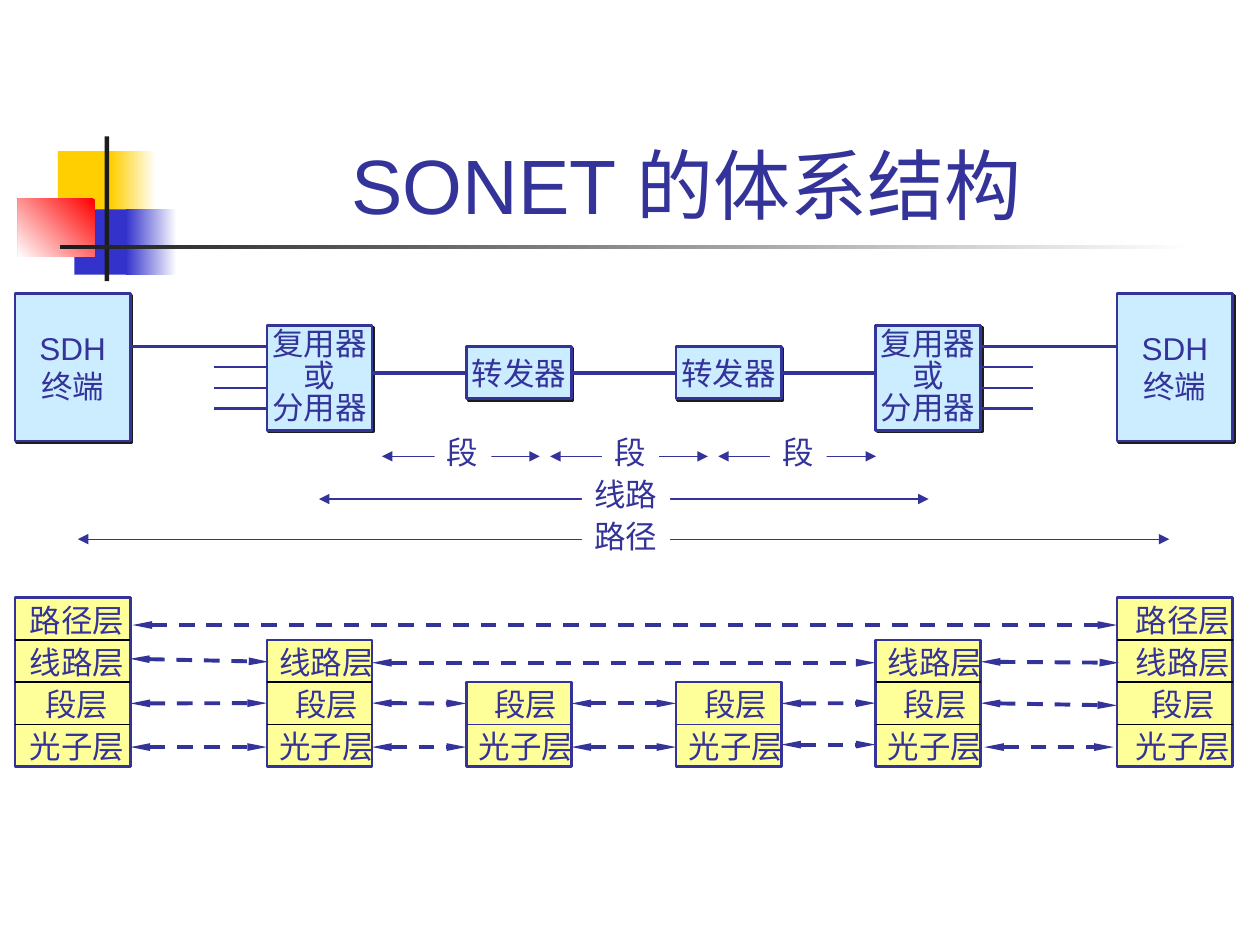
import pptx
import pptx.dml.color
import pptx.enum.dml
import pptx.enum.shapes
import pptx.enum.text
import pptx.oxml
import pptx.oxml.ns
import pptx.util
from pptx.util import Cm

RGBColor = pptx.dml.color.RGBColor
NAVY = RGBColor(0x33, 0x33, 0x99)
BLUE = RGBColor(0x33, 0x33, 0xCC)
GOLD = RGBColor(0xFF, 0xCF, 0x01)
RED = RGBColor(0xFF, 0x00, 0x00)
INK = RGBColor(0x1C, 0x1C, 0x1C)
BLACK = RGBColor(0x00, 0x00, 0x00)
WHITE = RGBColor(0xFF, 0xFF, 0xFF)
PALE_YELLOW = RGBColor(0xFF, 0xFF, 0x99)
PALE_BLUE = RGBColor(0xCC, 0xEC, 0xFF)

LEFT_SIDE, RIGHT_SIDE = 1, 3
LAYERS = ["光子层", "段层", "线路层", "路径层"]
LAYER_HEIGHT = 0.85
STACK_BOTTOM = 15.45

TERMINAL = (5.92, 2.97, ["SDH", "终端"], 1)
MULTIPLEXER = (6.56, 2.12, ["复用器", "或", "分用器"], 0.85)
REPEATER = (6.98, 1.06, ["转发器"], 1)
# left, width, device, number of layers, label shift
COLUMNS = [
    (0.3, 2.33, TERMINAL, 4, 0.05),
    (5.38, 2.12, MULTIPLEXER, 3, 0),
    (9.4, 2.12, REPEATER, 2, 0),
    (13.63, 2.12, REPEATER, 2, 0),
    (17.65, 2.12, MULTIPLEXER, 3, 0),
    (22.52, 2.33, TERMINAL, 4, 0.13),
]
GAPS = [(a[0] + a[1], b[0]) for a, b in zip(COLUMNS, COLUMNS[1:])]


def add_run(paragraph, text, size=18):
    run = paragraph.add_run()
    run.text = text
    run.font.size = pptx.util.Pt(size)
    run.font.name = "Arial"
    run.font.bold = False
    run.font.color.rgb = NAVY


def add_rectangle(slide, left, top, width, height, fill, outline=None):
    shape = slide.shapes.add_shape(
        pptx.enum.shapes.MSO_SHAPE.RECTANGLE, Cm(left), Cm(top), Cm(width), Cm(height))
    shape.shadow.inherit = False
    shape.fill.solid()
    shape.fill.fore_color.rgb = fill
    if outline is None:
        shape.line.fill.background()
    else:
        shape.line.color.rgb = outline
        shape.line.width = pptx.util.Pt(1.5)
    return shape


def add_gradient(slide, left, top, width, height, colors, angle=180):
    shape = add_rectangle(slide, left, top, width, height, WHITE)
    shape.fill.gradient()
    shape.fill.gradient_angle = angle
    for stop, color in zip(shape.fill.gradient_stops, colors):
        stop.color.rgb = color


def add_line(slide, start, end, width, color=NAVY, arrows=None, dashed=False):
    """Draw a line; arrows gives the (width, length) of heads at both ends."""
    line = slide.shapes.add_connector(
        pptx.enum.shapes.MSO_CONNECTOR.STRAIGHT, *map(Cm, start + end))
    line.line.color.rgb = color
    line.line.width = pptx.util.Pt(width)
    if dashed:
        line.line.dash_style = pptx.enum.dml.MSO_LINE.DASH
    if arrows:
        outline = line.line._get_or_add_ln()
        for tag in ("a:headEnd", "a:tailEnd"):
            head = pptx.oxml.parse_xml(f"<{tag} {pptx.oxml.ns.nsdecls('a')}/>")
            head.set("type", "triangle")
            head.set("w", arrows[0])
            head.set("len", arrows[1])
            outline.append(head)
    line._element.spPr.append(
        pptx.oxml.parse_xml(f"<a:effectLst {pptx.oxml.ns.nsdecls('a')}/>"))
    return line


def add_peer_arrow(slide, start, end):
    return add_line(slide, start, end, 2.25, arrows=("sm", "lg"), dashed=True)


def label_width(text):
    return 0.51 + 0.635 * len(text)


def add_label(slide, left, top, text, fill=None):
    box = slide.shapes.add_textbox(Cm(left), Cm(top), Cm(label_width(text)), Cm(1.02))
    if fill is not None:
        box.fill.solid()
        box.fill.fore_color.rgb = fill
    box.text_frame.word_wrap = False
    box.text_frame.auto_size = pptx.enum.text.MSO_AUTO_SIZE.SHAPE_TO_FIT_TEXT
    add_run(box.text_frame.paragraphs[0], text)


def add_device(slide, left, width, device):
    top, height, lines, spacing = device
    shape = add_rectangle(slide, left, top, width, height, PALE_BLUE, NAVY)
    shape._element.spPr.find(pptx.oxml.ns.qn("a:effectLst")).append(pptx.oxml.parse_xml(
        f'<a:outerShdw {pptx.oxml.ns.nsdecls("a")} dist="17780" dir="2700000" '
        f'algn="ctr" rotWithShape="0"><a:srgbClr val="{INK}"/></a:outerShdw>'))
    frame = shape.text_frame
    frame.word_wrap = False
    frame.vertical_anchor = pptx.enum.text.MSO_ANCHOR.MIDDLE
    for index, text in enumerate(lines):
        paragraph = frame.add_paragraph() if index else frame.paragraphs[0]
        paragraph.alignment = pptx.enum.text.PP_ALIGN.CENTER
        paragraph.line_spacing = spacing
        add_run(paragraph, text)
    return shape


def add_stack(slide, left, width, count, shift):
    """Draw one protocol stack, with its layers counted from the bottom."""
    height = count * LAYER_HEIGHT
    stack = add_rectangle(
        slide, left, STACK_BOTTOM - height, width, height, PALE_YELLOW, NAVY)
    for index, name in enumerate(LAYERS[:count]):
        bottom = STACK_BOTTOM - index * LAYER_HEIGHT
        if index:
            divider = add_line(slide, (left, bottom), (left + width, bottom), 0.75,
                               NAVY if count == 2 else BLACK)
            if index * 2 == count:
                divider.begin_connect(stack, LEFT_SIDE)
                divider.end_connect(stack, RIGHT_SIDE)
        inset = (label_width(LAYERS[0]) - label_width(name)) / 2
        add_label(slide, left + shift + inset, bottom - LAYER_HEIGHT - 0.06, name)
    return stack


def add_heading(slide):
    title = slide.shapes.title
    title.left, title.top, title.width, title.height = map(Cm, (3.2, 0.71, 21.64, 4.06))
    title.text_frame.vertical_anchor = pptx.enum.text.MSO_ANCHOR.BOTTOM
    title.text_frame.auto_size = pptx.enum.text.MSO_AUTO_SIZE.NONE
    paragraph = title.text_frame.paragraphs[0]
    paragraph.alignment = pptx.enum.text.PP_ALIGN.CENTER
    add_run(paragraph, "SONET 的体系结构 ", 44)

    add_rectangle(slide, 1.17, 3.05, 1.22, 1.32, GOLD)
    add_gradient(slide, 2.24, 3.05, 0.91, 1.32, (WHITE, GOLD))
    add_rectangle(slide, 1.5, 4.22, 1.17, 1.32, BLUE)
    add_gradient(slide, 2.54, 4.22, 1.02, 1.32, (WHITE, BLUE))
    add_gradient(slide, 0.36, 4.01, 1.55, 1.17, (RED, WHITE), 225)
    add_rectangle(slide, 2.11, 2.75, 0.09, 2.92, INK)
    add_gradient(slide, 1.22, 4.94, 22.86, 0.09, (WHITE, INK))


def add_network(slide):
    devices = [add_device(slide, left, width, device)
               for left, width, device, _, _ in COLUMNS]
    for index, (start, end) in enumerate(GAPS):
        outer = index in (0, len(GAPS) - 1)
        y = 6.98 if outer else 7.51
        link = add_line(slide, (start, y), (end, y), 1.5 if outer else 2.25)
        if COLUMNS[index][2] is REPEATER:
            link.begin_connect(devices[index], RIGHT_SIDE)
        if COLUMNS[index + 1][2] is REPEATER:
            link.end_connect(devices[index + 1], LEFT_SIDE)
    for left in (4.32, 19.77):
        for row in (1, 2, 3):
            y = 6.98 + 0.42 * row
            add_line(slide, (left, y), (left + 1.06, y), 1.5)


def add_spans(slide):
    sections = [(7.7 + 3.39 * i, 10.88 + 3.39 * i, 9.2, "段", 8.76 + 3.38 * i, 8.61)
                for i in range(3)]
    spans = sections + [(6.43, 18.72, 10.06, "线路", 11.73, 9.45),
                        (1.57, 23.57, 10.87, "路径", 11.73, 10.29)]
    for start, end, y, text, left, top in spans:
        add_line(slide, (start, y), (end, y), 0.75, arrows=("med", "med"))
        add_label(slide, left, top, text, WHITE)


def add_layers(slide):
    stacks = [add_stack(slide, left, width, count, shift)
              for left, width, _, count, shift in COLUMNS]
    add_peer_arrow(slide, (2.67, 12.6), (22.52, 12.6))
    for start, end in [((2.62, 13.28), (5.41, 13.34)), ((7.5, 13.36), (17.65, 13.36)),
                       ((19.77, 13.34), (22.56, 13.36))]:
        add_peer_arrow(slide, start, end)
    photon_heights = [15.06, 15.06, 15.06, 15.01, 15.06]
    for index, ((start, end), y) in enumerate(zip(GAPS, photon_heights)):
        margin = 0.07 if index == len(GAPS) - 1 else 0
        add_peer_arrow(slide, (start + margin, y), (end - margin, y))
        section = add_peer_arrow(slide, (start, 14.18), (end, 14.22 if index == 4 else 14.18))
        if COLUMNS[index][2] is MULTIPLEXER:
            section.begin_connect(stacks[index], RIGHT_SIDE)
        if COLUMNS[index + 1][2] is MULTIPLEXER:
            section.end_connect(stacks[index + 1], LEFT_SIDE)


def main():
    presentation = pptx.Presentation()
    presentation.slide_width, presentation.slide_height = Cm(25.4), Cm(19.05)
    slide = presentation.slides.add_slide(presentation.slide_layouts[5])
    add_heading(slide)
    add_network(slide)
    add_spans(slide)
    add_layers(slide)
    presentation.save("out.pptx")


if __name__ == "__main__":
    main()
